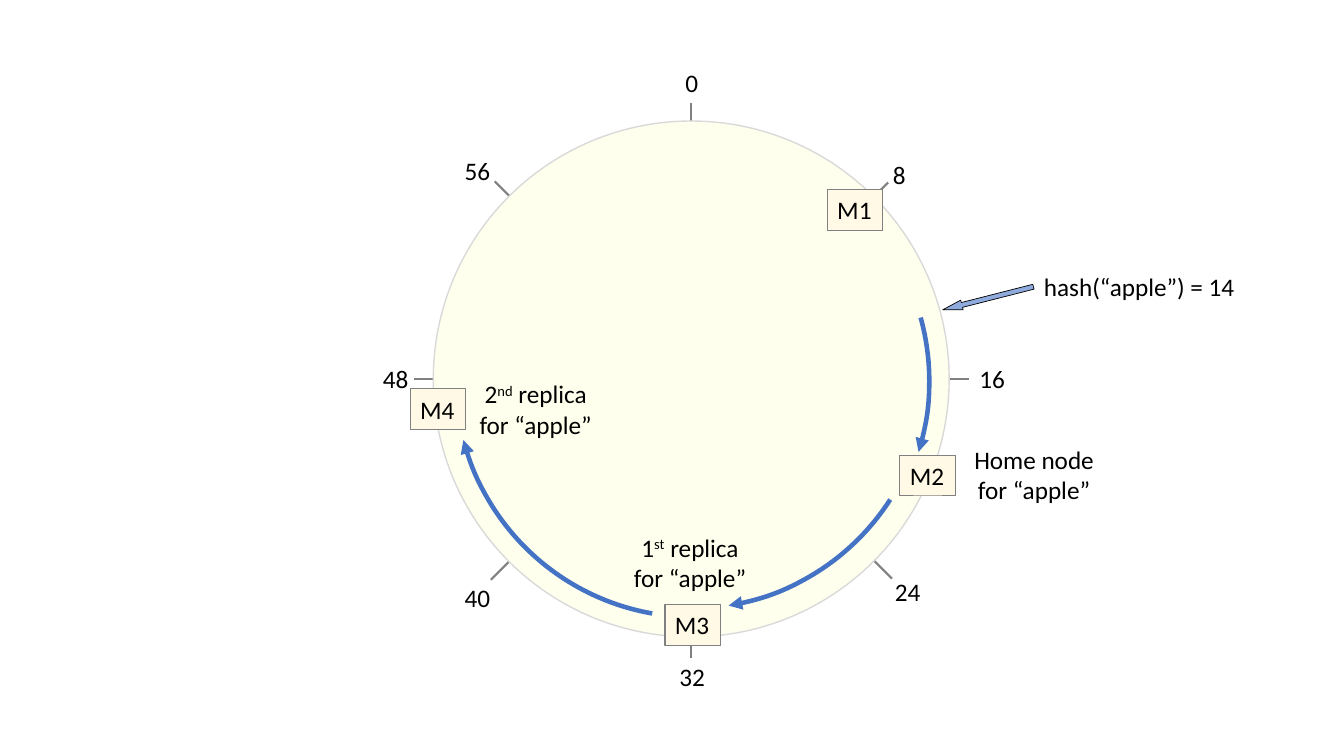
"""Draw a hash ring with its nodes and the replicas of one key."""
from dataclasses import dataclass
from lxml import etree
from pptx import Presentation
from pptx import util as u
from pptx.dml.color import RGBColor
from pptx.enum import shapes, text
from pptx.oxml import ns

HUES = {"ink": "000000", "ring": "FFFFEE", "rim": "D9D9D9", "tick": "808080",
        "node": "FFF9E6", "key": "8FAADC", "hop": "4472C4"}
ROW = 1.02
HOP = 11.99


@dataclass
class Spoke:
    x1: float
    y1: float
    x2: float
    y2: float


@dataclass
class Label:
    x: float
    y: float
    wide: float
    words: str


@dataclass
class Note:
    x: float
    y: float
    wide: float
    rank: str
    suffix: str
    head: str


@dataclass
class Hop:
    x: float
    y: float
    start: float
    end: float


SPOKES = [Spoke(17.42, 2.59, 17.42, 16.59), Spoke(10.44, 9.55, 24.43, 9.55),
          Spoke(22.38, 4.6, 12.37, 14.61), Spoke(12.47, 4.57, 22.48, 14.58)]
MARKS = [Label(17.02, 1.57, 0.84, "0"), Label(22.25, 3.89, 0.84, "8"),
         Label(24.43, 9.04, 1.17, "16"), Label(22.3, 14.4, 1.17, "24"),
         Label(16.87, 16.54, 1.17, "32"), Label(11.46, 14.55, 1.17, "40"),
         Label(9.4, 9.04, 1.17, "48"), Label(11.46, 3.78, 1.17, "56")]
NODES = [Label(20.85, 4.78, 1.4, "M1"), Label(22.68, 11.48, 1.4, "M2"),
         Label(16.76, 15.24, 1.4, "M3"), Label(10.34, 9.8, 1.4, "M4")]
HASH = Label(26.06, 6.71, 5.38, "hash(“apple”) = 14")
NOTES = [Note(24.28, 11.07, 3.56, "", "", "Home node"),
         Note(15.7, 13.28, 3.38, "1", "st", " replica"),
         Note(11.81, 9.42, 3.38, "2", "nd", " replica")]
HOPS = [Hop(11.43, 3.61, 344.51, 17.3), Hop(11.4, 3.35, 32.77, 80.69),
        Hop(11.48, 3.56, 99.97, 165.18)]


def rgb(name: str) -> RGBColor:
    return RGBColor.from_string(HUES[name])


def stroke(item, hue: str, width: float) -> None:
    item.line.color.rgb = rgb(hue)
    item.line.width = u.Pt(width)


def paint(item, hue: str) -> None:
    item.fill.solid()
    item.fill.fore_color.rgb = rgb(hue)


def shape(slide, kind, x: float, y: float, wide: float, high: float):
    item = slide.shapes.add_shape(kind, u.Cm(x), u.Cm(y), u.Cm(wide), u.Cm(high))
    item.shadow.inherit = False
    return item


def spoke(slide, row: Spoke) -> None:
    line = slide.shapes.add_connector(
        shapes.MSO_CONNECTOR.STRAIGHT, u.Cm(row.x1), u.Cm(row.y1), u.Cm(row.x2), u.Cm(row.y2))
    stroke(line, "tick", 1.5)
    etree.SubElement(line._element.spPr, ns.qn("a:effectLst"))


def box(slide, x: float, y: float, wide: float, high: float):
    item = slide.shapes.add_textbox(u.Cm(x), u.Cm(y), u.Cm(wide), u.Cm(high))
    item.text_frame.word_wrap = False
    item.text_frame.auto_size = text.MSO_AUTO_SIZE.SHAPE_TO_FIT_TEXT
    return item


def style(para) -> None:
    para.font.name = "Calibri"
    para.font.size = u.Pt(18)
    para.font.color.rgb = rgb("ink")


def label(slide, row: Label):
    item = box(slide, row.x, row.y, row.wide, ROW)
    para = item.text_frame.paragraphs[0]
    para.text = row.words
    style(para)
    return item


def node(slide, row: Label) -> None:
    item = label(slide, row)
    paint(item, "node")
    stroke(item, "tick", 0.75)


def note(slide, row: Note) -> None:
    para = box(slide, row.x, row.y, row.wide, 1.8).text_frame.paragraphs[0]
    para.alignment = text.PP_ALIGN.CENTER
    if row.rank:
        para.add_run().text = row.rank
        run = para.add_run()
        run.text = row.suffix
        run.font._element.set("baseline", "30000")
    para.add_run().text = row.head
    para.add_line_break()
    para.add_run().text = "for “apple”"
    style(para)


def hop(slide, row: Hop) -> None:
    arc = shape(slide, shapes.MSO_SHAPE.ARC, row.x, row.y, HOP, HOP)
    for spot, angle in enumerate((row.start, row.end)):
        arc.adjustments[spot] = angle * 0.6
    arc.fill.background()
    stroke(arc, "hop", 3.25)
    etree.SubElement(arc.line._get_or_add_ln(), ns.qn("a:tailEnd"), type="triangle")


def main() -> None:
    deck = Presentation()
    deck.slide_width, deck.slide_height = u.Cm(33.87), u.Cm(19.05)
    slide = deck.slides.add_slide(deck.slide_layouts[6])
    for row in SPOKES:
        spoke(slide, row)
    ring = shape(slide, shapes.MSO_SHAPE.OVAL, 10.92, 3.05, 13, 13)
    paint(ring, "ring")
    stroke(ring, "rim", 1)
    for row in [*MARKS, HASH]:
        label(slide, row)
    for row in NODES:
        node(slide, row)
    key = shape(slide, shapes.MSO_SHAPE.RIGHT_ARROW, 23.72, 7.39, 2.36, 0.25)
    key.adjustments[1] = 2
    key.rotation = 165.7
    paint(key, "key")
    stroke(key, "ink", 0.5)
    for row in NOTES:
        note(slide, row)
    for row in HOPS:
        hop(slide, row)
    deck.save("out.pptx")


if __name__ == "__main__":
    main()
